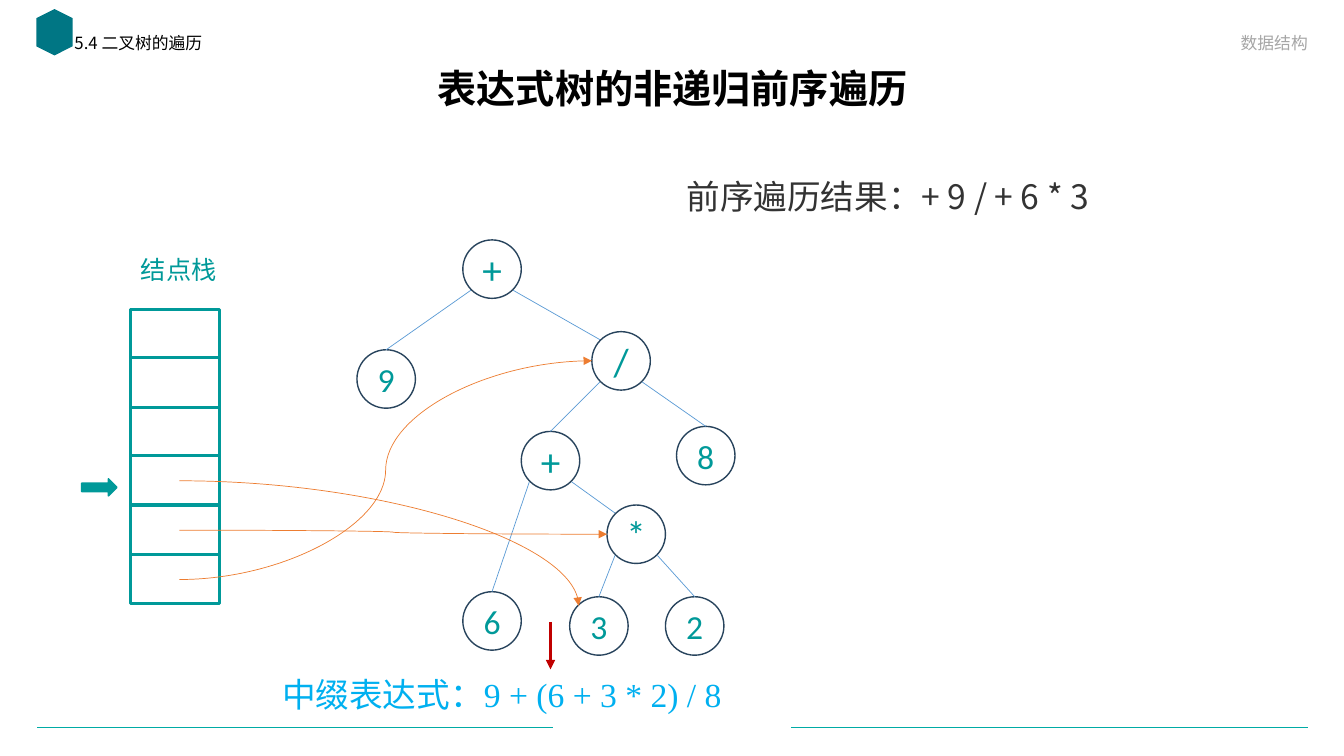
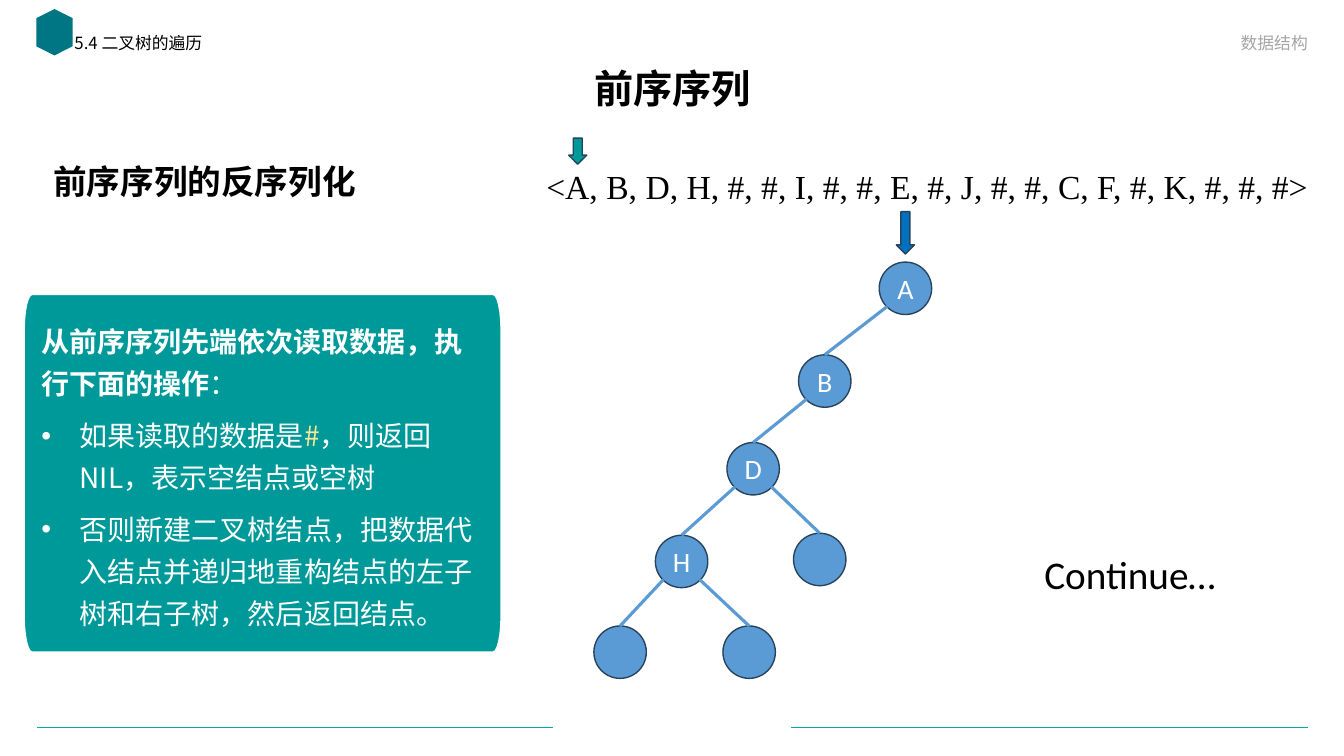
from math import cos, radians, sin

from lxml.etree import SubElement
from pptx import Presentation
from pptx.dml.color import RGBColor
from pptx.enum.shapes import MSO_CONNECTOR as CONN, MSO_SHAPE as SHAPE
from pptx.enum.text import MSO_ANCHOR as ANCHOR, PP_ALIGN as ALIGN
from pptx.oxml.ns import qn
from pptx.util import Pt

PX = 9144
SANS, SERIF, LATIN = "Noto Sans CJK SC", "Times New Roman", "Calibri"
BLACK = RGBColor(0x00, 0x00, 0x00)
WHITE = RGBColor(0xFF, 0xFF, 0xFF)
GREY = RGBColor(0xA6, 0xA6, 0xA6)
CHARCOAL = RGBColor(0x33, 0x33, 0x33)
TEAL = RGBColor(0x00, 0x99, 0x99)
AQUA = RGBColor(0x00, 0xAB, 0xA5)
DEEP_TEAL = RGBColor(0x00, 0x76, 0x84)
NAVY = RGBColor(0x28, 0x44, 0x5D)
BLUE = RGBColor(0x5B, 0x9B, 0xD5)
STRONG_BLUE = RGBColor(0x00, 0x70, 0xC0)
SKY = RGBColor(0x00, 0xB0, 0xF0)
ORANGE = RGBColor(0xED, 0x7D, 0x31)
RED = RGBColor(0xC0, 0x00, 0x00)
CREAM = RGBColor(0xFF, 0xE6, 0x99)


def add_run(p, text, size, color, font=SANS, bold=False):
    r = p.add_run()
    r.text = text
    r.font.size = Pt(size)
    r.font.bold = bold
    r.font.color.rgb = color
    r.font.name = font
    SubElement(r.font._element, qn("a:ea")).set("typeface", SANS)


def paint(sp, line, width, fill=None, arrow=False):
    if line is None:
        sp.line.fill.background()
    else:
        sp.line.color.rgb = line
        sp.line.width = Pt(width)
    if fill is not None:
        sp.fill.solid()
        sp.fill.fore_color.rgb = fill
    spPr = sp._element.spPr
    if arrow:
        SubElement(spPr.find(qn("a:ln")), qn("a:tailEnd")).set("type", "triangle")
    SubElement(spPr, qn("a:effectLst"))


prs = Presentation()
prs.slide_width, prs.slide_height = 1333 * PX, 750 * PX

slides = []
labels = []
for title in ("表达式树的非递归前序遍历", "前序序列"):
    s = prs.slides.add_slide(prs.slide_layouts[6])
    slides.append(s)
    for x1, x2 in ((37, 548), (785, 1297)):
        c = s.shapes.add_connector(CONN.STRAIGHT, x1 * PX, 722 * PX, x2 * PX, 722 * PX)
        paint(c, AQUA, 0.5)
    mark = s.shapes.add_shape(SHAPE.HEXAGON, 31 * PX, 14 * PX, 46 * PX, 36 * PX)
    mark.rotation = 90
    paint(mark, None, 0, DEEP_TEAL)
    labels += [
        (s, (92, 62, 1150, 57), title, 28, BLACK, SANS, True, ALIGN.CENTER, ANCHOR.MIDDLE, 0.9),
        (s, (64, 30, 532, 36), "5.4 二叉树的遍历", 12, BLACK, SANS, False, ALIGN.LEFT, ANCHOR.TOP, 0.9),
        (s, (743, 22, 564, 35), "数据结构", 12, GREY, SANS, False, ALIGN.RIGHT, ANCHOR.BOTTOM, 1.0),
    ]

walk, rebuild = slides
plain = (False, ALIGN.LEFT, ANCHOR.TOP, 1.0)
labels += [
    (walk, (270, 664, 485, 50), "中缀表达式：9 + (6 + 3 * 2) / 8", 24, SKY, SERIF, *plain),
    (walk, (130, 247, 96, 40), "结点栈", 18, TEAL, SANS, *plain),
    (walk, (671, 170, 485, 50), "前序遍历结果：+ 9 / + 6 * 3", 24, CHARCOAL, SANS, *plain),
    (rebuild, (43, 151, 460, 60), "前序序列的反序列化", 24, BLACK, SANS, True, ALIGN.LEFT, ANCHOR.TOP, 1.1),
    (rebuild, (532, 160, 783, 50), "<A, B, D, H, #, #, I, #, #, E, #, J, #, #, C, F, #, K, #, #, #>",
     24, BLACK, SERIF, *plain),
    (rebuild, (1026, 541, 192, 57), "Continue…", 28, BLACK, LATIN, *plain),
]
for s, box, text, size, color, font, bold, align, anchor, spacing in labels:
    tf = s.shapes.add_textbox(*(v * PX for v in box)).text_frame
    tf.word_wrap = True
    tf.vertical_anchor = anchor
    p = tf.paragraphs[0]
    p.alignment = align
    p.line_spacing = spacing
    add_run(p, text, size, color, font, bold)

for i in range(6):
    cell = walk.shapes.add_shape(SHAPE.RECTANGLE, 129 * PX, (307 + i * 243 // 5) * PX, 89 * PX, 49 * PX)
    paint(cell, TEAL, 2.25, WHITE)

for s, kind, box, fill, line in (
    (walk, SHAPE.RIGHT_ARROW, (81, 475, 35, 17), TEAL, TEAL),
    (rebuild, SHAPE.DOWN_ARROW, (564, 137, 18, 26), TEAL, NAVY),
    (rebuild, SHAPE.DOWN_ARROW, (889, 210, 18, 42), STRONG_BLUE, NAVY),
):
    sp = s.shapes.add_shape(kind, *(v * PX for v in box))
    paint(sp, line, 1, fill)

# label, size, centre x, centre y, parent index, side of the parent, joined at top
expression_nodes = [
    ("+", 28, 488, 267, None, 0, False),
    ("9", 24, 383, 376, 0, -1, True),
    ("/", 28, 616, 358, 0, 1, False),
    ("+", 28, 546, 457, 2, -1, True),
    ("8", 24, 700, 452, 2, 1, True),
    ("6", 24, 488, 616, 3, -1, True),
    ("*", 28, 631, 530, 3, 1, False),
    ("3", 24, 594, 621, 6, -1, True),
    ("2", 24, 689, 621, 6, 1, True),
]
letter_nodes = [
    ("A", 20, 898, 286, None, 0, False),
    ("B", 20, 818, 378, 0, -1, True),
    ("D", 20, 747, 465, 1, -1, True),
    ("H", 20, 676, 557, 2, -1, True),
    ("", 20, 813, 555, 2, 1, True),
    ("", 20, 615, 647, 3, -1, True),
    ("", 20, 743, 647, 3, 1, True),
]
for s, nodes, radius, fill, color, width in (
    (walk, expression_nodes, 29, None, TEAL, 0.5),
    (rebuild, letter_nodes, 26, BLUE, WHITE, 2.25),
):
    diagonal = round(radius * cos(radians(45)))
    for label, size, x, y, parent, side, at_top in nodes:
        node = s.shapes.add_shape(SHAPE.OVAL, (x - radius) * PX, (y - radius) * PX,
                                  2 * radius * PX, 2 * radius * PX)
        if fill is None:
            node.fill.background()
        paint(node, NAVY, 1, fill)
        if label:
            tf = node.text_frame
            tf.margin_left = tf.margin_right = 0
            tf.vertical_anchor = ANCHOR.MIDDLE
            p = tf.paragraphs[0]
            p.alignment = ALIGN.CENTER
            add_run(p, label, size, color, LATIN)
        if parent is not None:
            px, py = nodes[parent][2:4]
            c = s.shapes.add_connector(CONN.STRAIGHT, (px + side * diagonal) * PX, (py + diagonal) * PX,
                                       (x - diagonal) * PX, (y - diagonal) * PX)
            if at_top:
                c.end_connect(node, 0)
            paint(c, BLUE, width)

for kind, preset, ends, color, width in (
    (CONN.STRAIGHT, "line", (546, 617, 546, 664), RED, 2.25),
    (CONN.CURVE, "curvedConnector3", (178, 575, 587, 358), ORANGE, 0.5),
    (CONN.CURVE, "curvedConnector3", (178, 526, 602, 530), ORANGE, 0.5),
    (CONN.CURVE, "curvedConnector2", (178, 477, 574, 601), ORANGE, 0.5),
):
    c = walk.shapes.add_connector(kind, *(v * PX for v in ends))
    c._element.spPr.find(qn("a:prstGeom")).set("prst", preset)
    paint(c, color, width, arrow=True)

left, top, right, bottom, rx, ry = 24, 292, 497, 647, 8, 35
outline = []
for cx, cy, start in ((left + rx, top + ry, 180), (right - rx, top + ry, 270),
                      (right - rx, bottom - ry, 0), (left + rx, bottom - ry, 90)):
    for angle in range(start, start + 91, 15):
        a = radians(angle)
        outline.append((round((cx + rx * cos(a)) * PX), round((cy + ry * sin(a)) * PX)))
builder = rebuild.shapes.build_freeform(*outline[0])
builder.add_line_segments(outline[1:], close=True)
panel = builder.convert_to_shape()
paint(panel, WHITE, 1, TEAL)
tf = panel.text_frame
tf.word_wrap = True
tf.vertical_anchor = ANCHOR.MIDDLE
tf.margin_left = tf.margin_right = tf.margin_top = tf.margin_bottom = 17 * PX
steps = [
    (False, [("从前序序列先端依次读取数据，执行下面的操作", WHITE, True), ("：", WHITE, False)]),
    (True, [("如果读取的数据是", WHITE, False), ("#", CREAM, False),
            ("，则返回NIL，表示空结点或空树", WHITE, False)]),
    (True, [("否则新建二叉树结点，把数据代入结点并递归地重构结点的左子树和右子树，然后返回结点。",
             WHITE, False)]),
]
for i, (bulleted, runs) in enumerate(steps):
    p = tf.add_paragraph() if i else tf.paragraphs[0]
    p.alignment = ALIGN.LEFT
    p.line_spacing = Pt(30)
    p.space_after = Pt(7)
    if bulleted:
        pPr = p._p.get_or_add_pPr()
        pPr.set("marL", str(38 * PX))
        pPr.set("indent", str(-38 * PX))
        SubElement(pPr, qn("a:buFont")).set("typeface", "Arial")
        SubElement(pPr, qn("a:buChar")).set("char", "•")
    for text, color, bold in runs:
        add_run(p, text, 20, color, SANS, bold)

prs.save("out.pptx")
